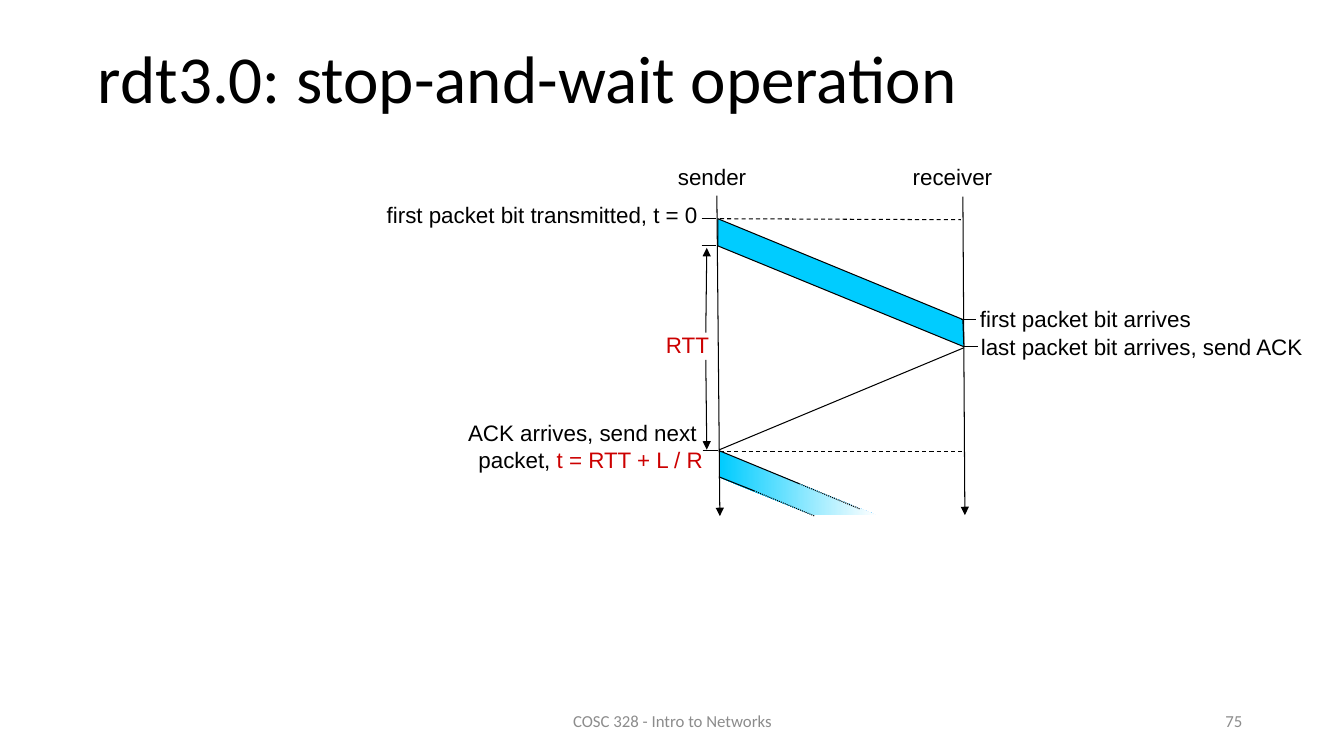
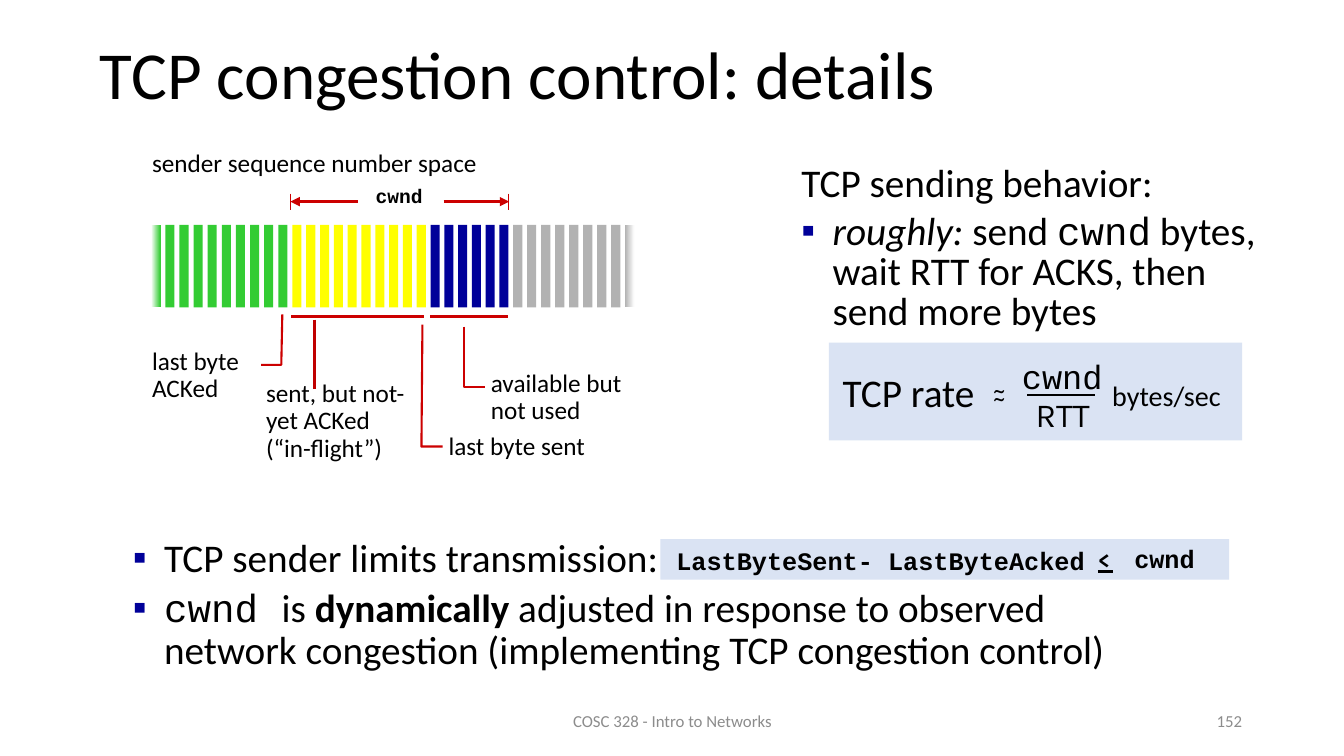
"""Build two lecture slides on reliable transfer and congestion control."""
import pptx
import pptx.dml.color
import pptx.enum.dml
import pptx.enum.shapes
import pptx.enum.text
import pptx.oxml
import pptx.oxml.ns
import pptx.util

Inches = pptx.util.Inches
Pt = pptx.util.Pt
ALIGN = pptx.enum.text.PP_ALIGN
ANCHOR = pptx.enum.text.MSO_ANCHOR
DASH = pptx.enum.dml.MSO_LINE.DASH
DOT = pptx.enum.dml.MSO_LINE.ROUND_DOT

BLACK, WHITE, GREY = "000000", "FFFFFF", "8C8C8C"
RED, DARK_RED, NAVY = "CC0000", "C00000", "000099"
CYAN, PALE_BLUE = "00CCFF", "DAE3F3"
GREEN, YELLOW, SILVER = "33CC33", "FFFF00", "B2B2B2"

BODY, CODE, LABEL, SYMBOL = "Calibri", "Courier New", "Arial", "Karla"


def rgb(value):
    """Return the colour of a hex string."""
    return pptx.dml.color.RGBColor.from_string(value)


def set_values(target, values):
    """Set every named attribute of the target."""
    for name, value in values.items():
        setattr(target, name, value)


def add_xml(parent, tag, **attributes):
    """Append a drawing element to the parent and return it."""
    element = pptx.oxml.parse_xml(f"<a:{tag} {pptx.oxml.ns.nsdecls('a')}/>")
    for name, value in attributes.items():
        element.set(name, str(value))
    parent.append(element)
    return element


class Deck:
    """Hold the shared style and the current slide."""

    def __init__(self):
        """Start an empty wide presentation."""
        self.presentation = pptx.Presentation()
        self.presentation.slide_width = Inches(13.33)
        self.presentation.slide_height = Inches(7.5)
        self.slide = None

    def new_slide(self, title, left, top, width, number):
        """Add a slide with its title, footer and number."""
        self.slide = self.presentation.slides.add_slide(self.presentation.slide_layouts[5])
        shape = self.slide.shapes.title
        place = dict(left=left, top=top, width=width, height=0.98)
        set_values(shape, {name: Inches(value) for name, value in place.items()})
        self.fill_text(shape, [title], dict(size=48), ANCHOR.MIDDLE,
                       alignment=ALIGN.LEFT, line_spacing=0.9)
        for text, x, box_width, alignment in (
                ("COSC 328 - Intro to Networks", 4.42, 4.5, ALIGN.CENTER),
                (number, 9.42, 3, ALIGN.RIGHT)):
            self.text((x, 6.95, box_width, 0.4), [text], dict(size=12, color=GREY),
                      anchor=ANCHOR.MIDDLE, alignment=alignment)

    def fill_text(self, shape, paragraphs, font, anchor=ANCHOR.TOP, wrap=True,
                  indent=0, bullets=(), **layout):
        """Fill a shape with paragraphs, each a string or a list of (text, font) runs."""
        frame = shape.text_frame
        set_values(frame, dict(auto_size=pptx.enum.text.MSO_AUTO_SIZE.NONE,
                               word_wrap=wrap, vertical_anchor=anchor))
        for index, runs in enumerate(paragraphs):
            paragraph = frame.add_paragraph() if index else frame.paragraphs[0]
            if indent:
                self.indent(paragraph, indent, index in bullets)
            set_values(paragraph, layout)
            if index and indent:
                paragraph.space_before = Pt(5.6)
            for text, changes in [(runs, {})] if isinstance(runs, str) else runs:
                values = {"name": BODY, "color": BLACK, **font, **changes}
                run = paragraph.add_run()
                run.text = text
                run.font.color.rgb = rgb(values.pop("color"))
                values["size"] = Pt(values["size"])
                set_values(run.font, values)

    def indent(self, paragraph, indent, bullet):
        """Give a paragraph a hanging indent and, if asked, a square bullet."""
        properties = paragraph._p.get_or_add_pPr()
        properties.set("marL", str(Inches(indent)))
        properties.set("indent", str(-Inches(indent)))
        if bullet:
            add_xml(add_xml(properties, "buClr"), "srgbClr", val=NAVY)
            add_xml(properties, "buFont", typeface=LABEL)
            add_xml(properties, "buChar", char="▪")

    def text(self, place, paragraphs, font, fill=None, **layout):
        """Add a text box, filled if a colour is given."""
        shape = self.slide.shapes.add_textbox(*map(Inches, place))
        if fill:
            self.fill(shape, fill)
        self.fill_text(shape, paragraphs, font, **layout)

    def fill(self, shape, *colors):
        """Fill a shape with one colour, or a left-to-right gradient of two."""
        if len(colors) == 1:
            shape.fill.solid()
            shape.fill.fore_color.rgb = rgb(colors[0])
            return
        shape.fill.gradient()
        shape.fill.gradient_angle = 0
        for stop, position, color in zip(shape.fill.gradient_stops, (0, 1), colors):
            stop.position = position
            stop.color.rgb = rgb(color)

    def rectangle(self, place, *colors):
        """Add a rectangle without an outline."""
        kind = pptx.enum.shapes.MSO_SHAPE.RECTANGLE
        shape = self.slide.shapes.add_shape(kind, *map(Inches, place))
        shape.shadow.inherit = False
        shape.line.fill.background()
        self.fill(shape, *colors)

    def outline(self, points, colors=(), line=None, width=0.75):
        """Add a freeform, closed when it has fill colours."""
        corners = [(Inches(x), Inches(y)) for x, y in points]
        builder = self.slide.shapes.build_freeform(*corners[0])
        builder.add_line_segments(corners[1:], close=bool(colors))
        shape = builder.convert_to_shape()
        shape.shadow.inherit = False
        if colors:
            self.fill(shape, *colors)
        else:
            shape.fill.background()
        if line:
            shape.line.color.rgb = rgb(line)
            shape.line.width = Pt(width)
        else:
            shape.line.fill.background()

    def line(self, start, end, color=BLACK, width=0.75, dash=None, arrow=False):
        """Add a straight line, with an arrowhead at its end if asked."""
        kind = pptx.enum.shapes.MSO_CONNECTOR.STRAIGHT
        connector = self.slide.shapes.add_connector(kind, *map(Inches, (*start, *end)))
        connector.line.color.rgb = rgb(color)
        set_values(connector.line, dict(width=Pt(width), dash_style=dash))
        properties = connector.element.spPr
        if arrow:
            add_xml(properties.find(pptx.oxml.ns.qn("a:ln")), "tailEnd", type="triangle")
        add_xml(properties, "effectLst")


def build_stop_and_wait(deck):
    """Draw the timing diagram of stop-and-wait."""
    deck.new_slide("rdt3.0: stop-and-wait operation", 0.87, 0.32, 12.14, "75")
    font = dict(size=16, name=LABEL)
    for place, label in (((3.49, 1.95, 3.53, 0.39), "first packet bit transmitted, t = 0"),
                         ((6.53, 1.57, 0.97, 0.38), "sender"),
                         ((8.91, 1.57, 1.03, 0.38), "receiver")):
        deck.text(place, [label], font, fill=WHITE, alignment=ALIGN.RIGHT)

    for start, end in (((7.11, 1.94), (7.14, 5.12)), ((9.55, 1.95), (9.57, 5.11))):
        deck.line(start, end, arrow=True)
    for start, end in (((7.14, 2.17), (9.53, 2.18)), ((7.14, 4.48), (9.54, 4.48))):
        deck.line(start, end, dash=DASH)
    deck.line((7.14, 4.46), (9.56, 3.45))
    deck.outline([(7.12, 2.17), (9.55, 3.17), (9.56, 3.44), (7.12, 2.44)], [CYAN], BLACK)
    for left, right, y in ((6.96, 7.1, 2.17), (6.96, 7.1, 2.44), (6.97, 7.12, 4.47),
                           (9.53, 9.68, 3.17), (9.56, 9.7, 3.44)):
        deck.line((left, y), (right, y))

    deck.text((6.25, 3.24, 0.88, 0.37), ["RTT"], dict(font, color=RED), alignment=ALIGN.RIGHT)
    for start, end in ((3.57, 4.46), (3.3, 2.46)):
        deck.line((7, start), (7.01, end), arrow=True)

    deck.text((9.62, 2.98, 2.65, 0.39), ["first packet bit arrives"], font)
    deck.text((9.63, 3.26, 3.41, 0.62), ["last packet bit arrives, send ACK"], font)
    deck.text((4.13, 4.11, 2.94, 0.69),
              ["ACK arrives, send next ",
               [("packet, ", {}), ("t = RTT + L / R", dict(color=RED))]],
              font, alignment=ALIGN.RIGHT)

    deck.outline([(7.14, 4.48), (8.69, 5.11), (8.06, 5.11), (7.14, 4.74)], [CYAN, WHITE])
    for start, middle, end in (((7.13, 4.47), (7.93, 4.8), (8.53, 5.05)),
                               ((7.13, 4.73), (7.48, 4.87), (8.08, 5.12))):
        deck.line(start, middle)
        deck.line(middle, end, dash=DOT)


def draw_sequence_space(deck):
    """Draw the striped sequence numbers with their labels."""
    top, bar_width, bar_height = 2.23, 0.09, 0.82
    starts = (1.5, 2.9, 4.27, 5.09, 6.34)
    groups = ((GREEN, 10), (YELLOW, 10), (NAVY, 6), (SILVER, 9))
    for (color, count), left, right in zip(groups, starts, starts[1:]):
        pitch = (right - left) / count
        for index in range(count):
            colors = [color]
            if color == GREEN and index == 0:
                colors = [WHITE, color]
            elif color == SILVER and index == count - 1:
                colors = [color, WHITE]
            deck.rectangle((left + index * pitch, top, bar_width, bar_height), *colors)

    deck.text((1.41, 1.41, 3.52, 0.4), ["sender sequence number space"], dict(size=18))
    deck.text((3.52, 1.8, 0.88, 0.38), ["cwnd"], dict(size=14, name=CODE, bold=True),
              wrap=False, alignment=ALIGN.CENTER, line_spacing=0.9)
    for start, end in ((4.4, 5.05), (3.55, 2.88)):
        deck.line((start, 2), (end, 2), RED, 2.25, arrow=True)
    for x in (2.88, 5.04):
        deck.line((x, 1.92), (x, 2.08), RED)
    for left, right in ((2.89, 4.21), (4.27, 5.04)):
        deck.line((left, 3.14), (right, 3.14), RED, 2.25)
    deck.line((3.12, 3.17), (3.12, 3.86), DARK_RED, 1.5)

    for points in ([(2.8, 3.12), (2.79, 3.62), (2.59, 3.62)],
                   [(4.19, 3.22), (4.18, 4.43), (4.39, 4.43)],
                   [(4.6, 3.24), (4.6, 3.84), (4.81, 3.84)]):
        deck.outline(points, line=RED, width=1.5)
    for place, paragraphs in (
            ((1.41, 3.41, 1.08, 0.65), ["last byte", "ACKed"]),
            ((4.35, 4.25, 1.75, 0.37), ["last byte sent"]),
            ((4.77, 3.63, 1.75, 0.65), ["available but not used"]),
            ((2.54, 3.73, 1.82, 0.92), ["sent, but not-yet ACKed", "(“in-flight”)"])):
        deck.text(place, paragraphs, dict(size=18), line_spacing=0.9)


def build_congestion_control(deck):
    """Lay out the congestion control slide."""
    deck.new_slide("TCP congestion control: details", 0.89, 0.28, 12.46, "152")
    draw_sequence_space(deck)
    code, bold_code = dict(name=CODE), dict(size=18, name=CODE, bold=True)
    centred = dict(wrap=False, alignment=ALIGN.CENTER)

    deck.rectangle((6.55, 5.35, 5.64, 0.4), PALE_BLUE)
    deck.text((1.22, 5.29, 10.53, 1.85),
              ["TCP sender limits transmission:",
               [("cwnd ", code), ("is ", {}), ("dynamically", dict(bold=True)),
                (" adjusted in response to observed network congestion"
                 " (implementing TCP congestion control)", {})]],
              dict(size=28), indent=0.31, bullets=(0, 1), line_spacing=0.9)
    deck.text((6.61, 5.41, 4.81, 0.37), ["LastByteSent- LastByteAcked"], bold_code,
              line_spacing=0.85)
    deck.text((10.76, 5.37, 0.38, 0.37), ["<"], dict(size=16, name=SYMBOL, bold=True), **centred)
    deck.line((10.89, 5.67), (11.04, 5.67), width=1.5)
    deck.text((11.15, 5.34, 0.8, 0.4), ["cwnd"], bold_code, **centred)

    deck.text((7.85, 1.59, 5.02, 2.68),
              ["TCP sending behavior:",
               [("roughly:", dict(italic=True)), (" send ", {}), ("cwnd", code),
                (" bytes, wait RTT for ACKS, then send more bytes", {})]],
              dict(size=28), indent=0.31, bullets=(1,), line_spacing=0.85)
    deck.rectangle((8.22, 3.4, 4.1, 0.97), PALE_BLUE)
    for place, label, size, name in (
            ((8.25, 3.6, 1.52, 0.57), "TCP rate", 28, BODY),
            ((9.4, 3.66, 1.02, 0.4), "~", 18, SYMBOL),
            ((9.4, 3.74, 1.02, 0.4), "~", 18, SYMBOL),
            ((10.03, 3.48, 1.01, 0.51), "cwnd", 24, CODE),
            ((10.14, 3.86, 0.8, 0.51), "RTT", 24, SYMBOL),
            ((10.92, 3.71, 1.3, 0.44), "bytes/sec", 20, BODY)):
        deck.text(place, [label], dict(size=size, name=name), **centred)
    deck.line((10.19, 3.92), (10.86, 3.92), width=1.5)


def main():
    """Build and save the presentation."""
    deck = Deck()
    build_stop_and_wait(deck)
    build_congestion_control(deck)
    deck.presentation.save("out.pptx")


if __name__ == "__main__":
    main()
